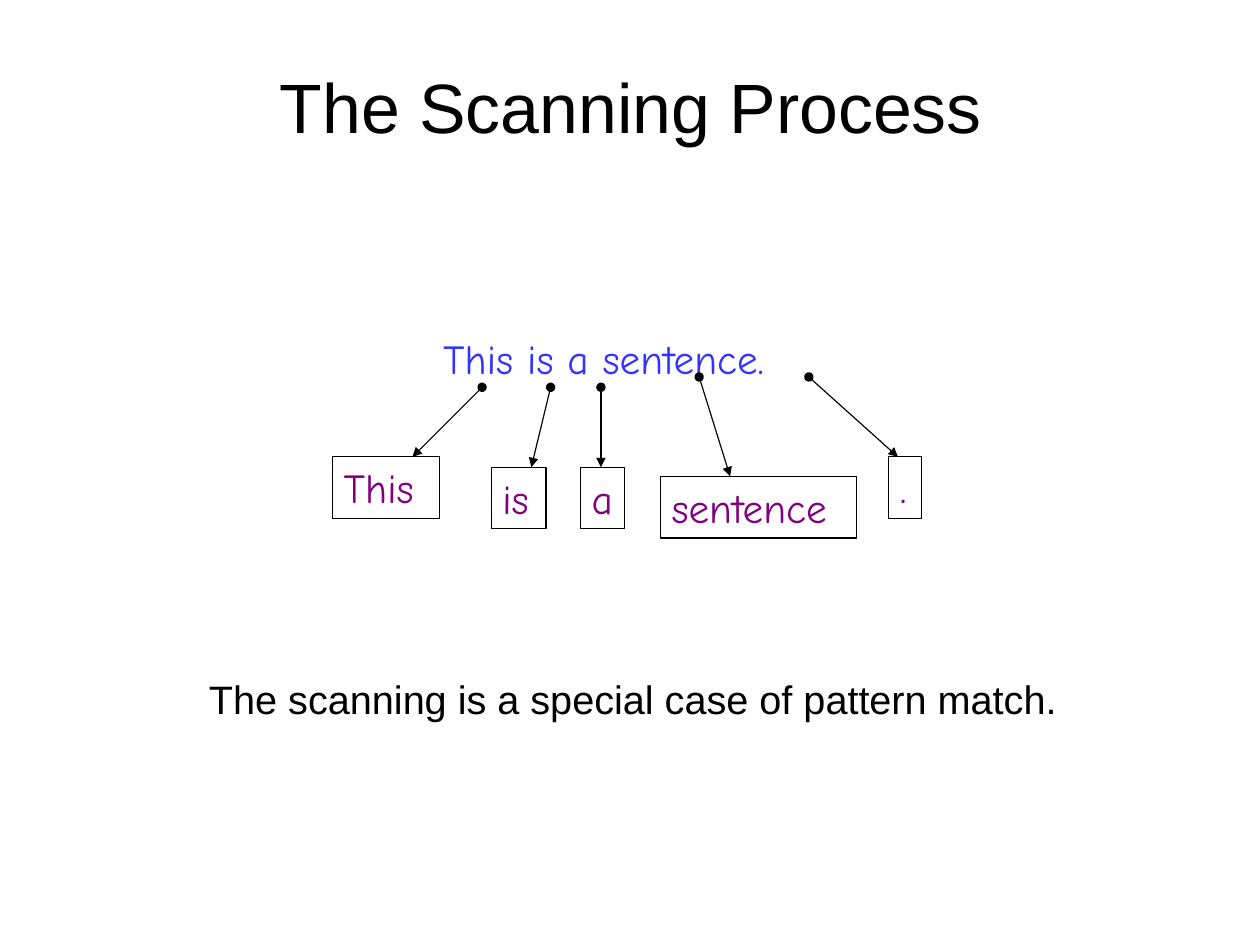
from collections import namedtuple

from lxml import etree
from pptx import Presentation
from pptx.dml.color import RGBColor
from pptx.enum import shapes, text
from pptx.oxml import ns
from pptx.util import Pt

COLORS = {"ink": "000000", "sentence": "3333FF", "token": "800080"}
TITLE = {"name": "Arial", "size": Pt(44), "color": "ink"}
NOTE = {"name": "Arial", "size": Pt(25), "color": "ink"}
SENTENCE = {"name": "Comic Neue", "size": Pt(26), "color": "sentence"}
TOKEN = {**SENTENCE, "color": "token"}

Box = namedtuple("Box", "left top width height")
Token = namedtuple("Token", "word left top width tail_x tail_y tip_x")

# Offsets in points from the corner of the diagram
TOKENS = [
    Token("This", 0, 81.4, 67.7, 94.3, 37.5, 50.4),
    Token("is", 100, 87.9, 34.6, 137.5, 37.5, 125.3),
    Token("a", 156.2, 87.9, 28.1, 169.2, 37.5, 169.2),
    Token("sentence", 206.6, 93.7, 123.8, 231.1, 31, 250.6),
    Token(".", 350.6, 81.4, 20.9, 300.2, 31, 356.4),
]
TOKEN_HEIGHT = 38.9


def color(name):
    return RGBColor.from_string(COLORS[name])


def write(shape, words, style, align=text.PP_ALIGN.LEFT, anchor=text.MSO_ANCHOR.TOP):
    frame = shape.text_frame
    frame.word_wrap = True
    frame.vertical_anchor = anchor
    para = frame.paragraphs[0]
    para.alignment = align
    span = para.add_run()
    span.text = words
    for key, value in style.items():
        if key == "color":
            span.font.color.rgb = color(value)
        else:
            setattr(span.font, key, value)
    return para


def add_label(page, box, words, style, **layout):
    label = page.shapes.add_textbox(*map(Pt, box))
    return write(label, words, style, **layout)


def outline(shape):
    shape.line.color.rgb = color("ink")
    shape.line.width = Pt(0.75)


def add_token_box(group, box, word):
    shape = group.shapes.add_shape(shapes.MSO_SHAPE.RECTANGLE, *map(Pt, box))
    shape.shadow.inherit = False
    shape.fill.background()
    outline(shape)
    write(shape, word, TOKEN)


def add_arrow(group, *ends):
    """Draw a line with a dot at its start and an arrowhead at its end."""
    arrow = group.shapes.add_connector(shapes.MSO_CONNECTOR.STRAIGHT, *map(Pt, ends))
    outline(arrow)
    line = arrow.line._get_or_add_ln()
    for end, kind in (("a:headEnd", "oval"), ("a:tailEnd", "triangle")):
        etree.SubElement(line, ns.qn(end), type=kind)
    etree.SubElement(arrow._element.spPr, ns.qn("a:effectLst"))


def add_diagram(page, box):
    """Split the sentence into boxed tokens, each with its arrow."""
    add_label(page, Box(box.left + 62.7, box.top, 243.4, 39.6), "This is a sentence.", SENTENCE)
    for token in TOKENS:
        group = page.shapes.add_group_shape()
        top = box.top + token.top
        add_token_box(group, Box(box.left + token.left, top, token.width, TOKEN_HEIGHT), token.word)
        add_arrow(group, box.left + token.tail_x, box.top + token.tail_y,
                  box.left + token.tip_x, top)


def main():
    deck = Presentation()
    deck.slide_width, deck.slide_height = Pt(794), Pt(595)
    page = deck.slides.add_slide(deck.slide_layouts[6])
    add_label(page, Box(36, 21.6, 723.6, 90), "The Scanning Process", TITLE,
              align=text.PP_ALIGN.CENTER, anchor=text.MSO_ANCHOR.MIDDLE)
    note = add_label(page, Box(124.6, 425.5, 604.8, 36.7),
                     "The scanning is a special case of pattern match.", NOTE)
    note.line_spacing = 0.9
    add_diagram(page, Box(209.5, 206.6, 371.5, 132.5))
    deck.save("out.pptx")


if __name__ == "__main__":
    main()
